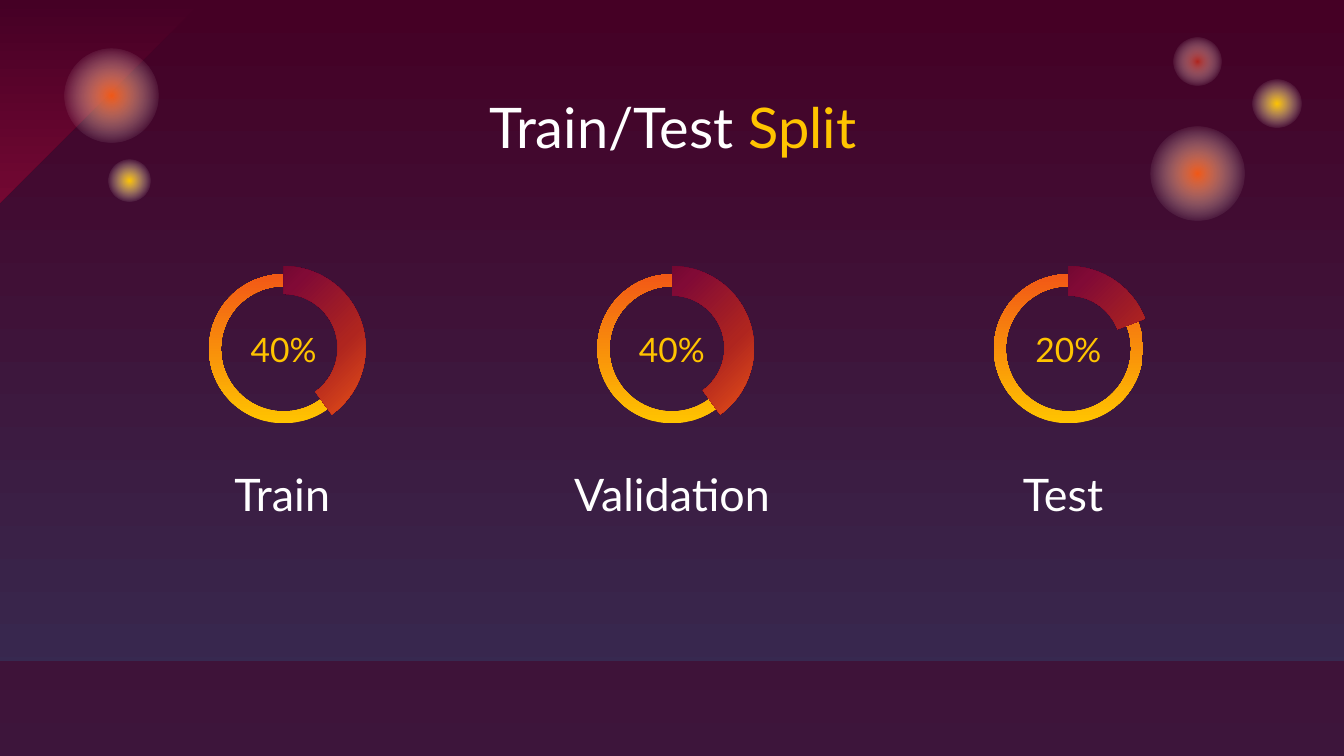
import pptx
import pptx.dml.color
import pptx.enum.shapes
import pptx.enum.text
import pptx.oxml
import pptx.oxml.ns
import pptx.util
from pptx.util import Inches

RGB = pptx.dml.color.RGBColor
SHAPES = pptx.enum.shapes.MSO_SHAPE
ANCHOR = pptx.enum.text.MSO_ANCHOR

WINE = RGB(0x45, 0x00, 0x25)
CRIMSON = RGB(0x81, 0x0A, 0x36)
BRICK = RGB(0xAF, 0x25, 0x1F)
ORANGE = RGB(0xF2, 0x58, 0x16)
YELLOW = RGB(0xFF, 0xC4, 0x00)
INDIGO = RGB(0x36, 0x2D, 0x54)
WHITE = RGB(0xFF, 0xFF, 0xFF)

EMBER = [(0, WINE), (34, CRIMSON), (67, BRICK), (100, ORANGE)]
WIDTH = 10
HEIGHT = WIDTH * 9 / 16


def set_gradient(fill, element, stops, angle=None):
    """Fill with (percent, colour[, opacity]) stops; radial when angle is None."""
    fill.gradient()
    gradient = element.find(".//" + pptx.oxml.ns.qn("a:gradFill"))
    for child in list(gradient):
        gradient.remove(child)
    namespace = pptx.oxml.ns.nsdecls("a")
    stop_xml = ""
    for percent, color, *opacity in stops:
        alpha = f'<a:alpha val="{opacity[0] * 1000}"/>' if opacity else ""
        stop_xml += (f'<a:gs pos="{percent * 1000}"><a:srgbClr val="{color}">'
                     f'{alpha}</a:srgbClr></a:gs>')
    if angle is None:
        direction = (f'<a:path {namespace} path="circle"><a:fillToRect l="50000" '
                     't="50000" r="50000" b="50000"/></a:path>')
    else:
        direction = f'<a:lin {namespace} ang="{angle * 60000}" scaled="0"/>'
    gradient.append(pptx.oxml.parse_xml(f"<a:gsLst {namespace}>{stop_xml}</a:gsLst>"))
    gradient.append(pptx.oxml.parse_xml(direction))


def add_figure(slide, kind, left, top, width, height, stops=None, angle=None):
    figure = slide.shapes.add_shape(
        kind, Inches(left), Inches(top), Inches(width), Inches(height))
    figure.shadow.inherit = False
    figure.line.fill.background()
    if stops:
        set_gradient(figure.fill, figure._element.spPr, stops, angle)
    return figure


def write_text(holder, runs, size, anchor=ANCHOR.BOTTOM):
    """Write centred (text, colour) runs into a text box or placeholder."""
    frame = holder.text_frame
    frame.word_wrap = True
    frame.auto_size = pptx.enum.text.MSO_AUTO_SIZE.NONE
    frame.vertical_anchor = anchor
    frame.margin_left = frame.margin_right = Inches(0.1)
    frame.margin_top = frame.margin_bottom = Inches(0.1)
    paragraph = frame.paragraphs[0]
    paragraph.alignment = pptx.enum.text.PP_ALIGN.CENTER
    for text, color in runs:
        run = paragraph.add_run()
        run.text = text
        run.font.name = "Lato"
        run.font.size = pptx.util.Pt(size)
        run.font.color.rgb = color


def add_caption(slide, center, top, width, text, size, color):
    box = slide.shapes.add_textbox(
        Inches(center - width / 2), Inches(top), Inches(width), Inches(0.52))
    write_text(box, [(text, color)], size)


def add_backdrop(slide):
    set_gradient(slide.background.fill, slide._element, EMBER, 90)
    panel = add_figure(slide, SHAPES.SNIP_1_RECTANGLE, 0, 0, WIDTH, HEIGHT,
                       [(0, WINE), (100, INDIGO)], 90)
    panel.adjustments[0] = 0.27
    panel._element.spPr.xfrm.set("flipH", "1")
    band = add_figure(slide, SHAPES.RECTANGLE, 0, 4.92, WIDTH, HEIGHT - 4.92)
    band.fill.solid()
    band.fill.fore_color.rgb = WINE
    tint = band._element.spPr.find(".//" + pptx.oxml.ns.qn("a:srgbClr"))
    tint.append(pptx.oxml.parse_xml(
        f'<a:alpha {pptx.oxml.ns.nsdecls("a")} val="52000"/>'))


def place_title(slide, left, top, width, height):
    title = slide.shapes.title
    title.left, title.top = Inches(left), Inches(top)
    title.width, title.height = Inches(width), Inches(height)
    write_text(title, [("Train/Test ", WHITE), ("Split", YELLOW)], 30, ANCHOR.TOP)
    slide.shapes._spTree.append(title._element)  # in front of the backdrop


def add_share(slide, center, top, label, label_center, percent, sweep, thickness):
    """One ring with its arc of sweep degrees, the percentage and the label."""
    ring_size, arc_size = 1.11, 1.22
    ring = add_figure(slide, SHAPES.DONUT, center - ring_size / 2, top + 0.06,
                      ring_size, ring_size, [(0, YELLOW), (100, ORANGE)], 270)
    ring.adjustments[0] = 0.08
    arc = add_figure(slide, SHAPES.BLOCK_ARC, center - arc_size / 2, top,
                     arc_size, arc_size, EMBER, 315)
    arc.rotation = 90
    arc.adjustments[0] = 180 * 0.6  # angles are stored as 0.6 per degree
    arc.adjustments[1] = (180 + sweep) * 0.6
    arc.adjustments[2] = thickness
    add_caption(slide, center, top + 0.35, 2.33, percent, 18, YELLOW)
    add_caption(slide, label_center, top + 1.47, 2.1, label, 24, WHITE)


def add_glow(slide, left, top, size, color):
    add_figure(slide, SHAPES.OVAL, left, top, size, size,
               [(0, color), (75, WHITE, 0), (100, WHITE, 0)])


def main():
    deck = pptx.Presentation()
    deck.slide_width, deck.slide_height = Inches(WIDTH), Inches(HEIGHT)
    slide = deck.slides.add_slide(deck.slide_layouts.get_by_name("Title Only"))

    add_backdrop(slide)
    place_title(slide, 0.79, 0.59, 8.43, 0.52)
    for center, label, label_center, percent, sweep, thickness in [
        (2.11, "Train", 2.1, "40%", 144, 0.17),
        (5, "Validation", 5, "40%", 144, 0.18),
        (7.95, "Test", 7.91, "20%", 69, 0.18),
    ]:
        add_share(slide, center, 1.98, label, label_center, percent, sweep, thickness)
    for left, top, size, color in [
        (0.81, 1.19, 0.31, YELLOW),
        (0.48, 0.36, 0.7, ORANGE),
        (8.73, 0.28, 0.36, BRICK),
        (9.32, 0.59, 0.36, YELLOW),
        (8.56, 0.94, 0.7, ORANGE),
    ]:
        add_glow(slide, left, top, size, color)
    deck.save("out.pptx")


if __name__ == "__main__":
    main()
